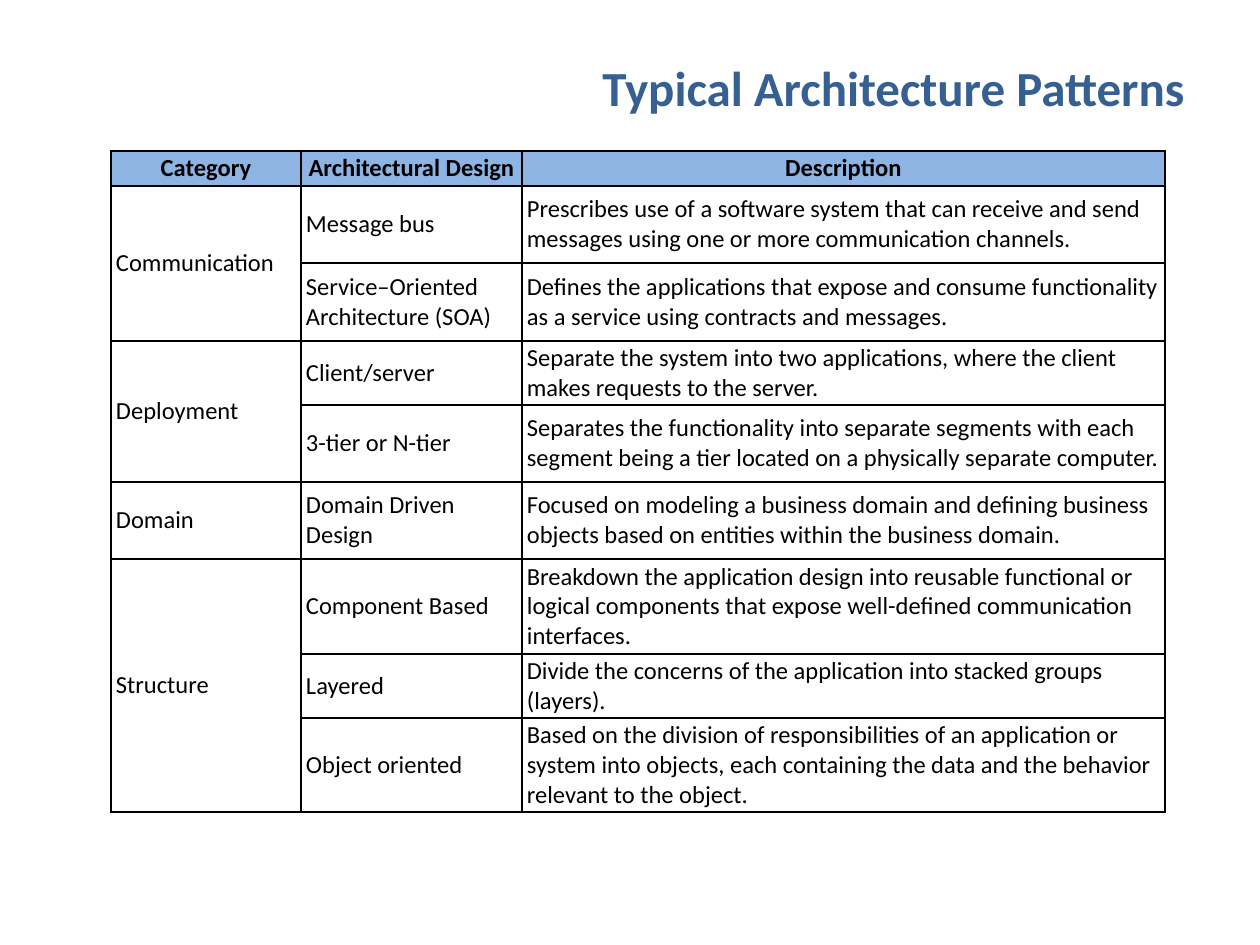
import pptx
import pptx.dml.color
import pptx.enum.text
import pptx.oxml.ns
import pptx.util
from lxml import etree

PIXEL = 914400 // 126
ALIGN = pptx.enum.text.PP_ALIGN
MIDDLE = pptx.enum.text.MSO_ANCHOR.MIDDLE
HEADERS = ["Category", "Architectural Design", "Description"]
PATTERNS = {
    "Communication": [
        ("Message bus", "Prescribes use of a software system that can receive and send "
         "messages using one or more communication channels."),
        ("Service–Oriented Architecture (SOA)", "Defines the applications that expose and "
         "consume functionality as a service using contracts and messages."),
    ],
    "Deployment": [
        ("Client/server", "Separate the system into two applications, where the client "
         "makes requests to the server."),
        ("3-tier or N-tier", "Separates the functionality into separate segments with each "
         "segment being a tier located on a physically separate computer."),
    ],
    "Domain": [
        ("Domain Driven Design", "Focused on modeling a business domain and defining business "
         "objects based on entities within the business domain."),
    ],
    "Structure": [
        ("Component Based", "Breakdown the application design into reusable functional or "
         "logical components that expose well-defined communication interfaces."),
        ("Layered", "Divide the concerns of the application into stacked groups (layers)."),
        ("Object oriented", "Based on the division of responsibilities of an application or "
         "system into objects, each containing the data and the behavior relevant to the object."),
    ],
}
COLUMN_WIDTHS = [190, 221, 643]
ROW_HEIGHTS = [35, 77, 78, 64, 77, 77, 95, 64, 94]


def px(length):
    """Turn picture pixels into EMU."""
    return pptx.util.Emu(length * PIXEL)


def color(value):
    """Turn a hex string into a colour."""
    return pptx.dml.color.RGBColor.from_string(value)


def write(frame, text, size=14, bold=False, ink="000000", align=ALIGN.LEFT):
    """Write one formatted paragraph into a text frame."""
    paragraph = frame.paragraphs[0]
    paragraph.alignment = align
    run = paragraph.add_run()
    run.text = text
    run.font.name = "Calibri"
    run.font.size = pptx.util.Pt(size)
    run.font.bold = bold
    run.font.color.rgb = color(ink)


def style_cell(cell, fill=None):
    """Set the margins, borders and fill of a table cell."""
    cell.vertical_anchor = MIDDLE
    cell.margin_left = cell.margin_right = px(5)
    cell.margin_top = cell.margin_bottom = px(2)
    qualified = pptx.oxml.ns.qn
    properties = cell._tc.get_or_add_tcPr()
    for side in ("a:lnL", "a:lnR", "a:lnT", "a:lnB"):
        line = etree.SubElement(properties, qualified(side), w=str(pptx.util.Pt(1)))
        solid = etree.SubElement(line, qualified("a:solidFill"))
        etree.SubElement(solid, qualified("a:srgbClr"), val="000000")
    if fill:
        cell.fill.solid()
        cell.fill.fore_color.rgb = color(fill)
    else:
        cell.fill.background()


def add_title(slide, left, top, width, height):
    """Place and format the slide title."""
    title = slide.shapes.title
    title.left, title.top, title.width, title.height = map(px, (left, top, width, height))
    title.text_frame.vertical_anchor = MIDDLE
    write(title.text_frame, "Typical Architecture Patterns", size=28, bold=True,
          ink="376092", align=ALIGN.RIGHT)


def add_pattern_table(slide, left, top):
    """Place the table of patterns, merging each category over its rows."""
    frame = slide.shapes.add_table(len(ROW_HEIGHTS), len(COLUMN_WIDTHS), px(left), px(top),
                                   px(sum(COLUMN_WIDTHS)), px(sum(ROW_HEIGHTS)))
    table = frame.table
    table.horz_banding = False
    for column, width in zip(table.columns, COLUMN_WIDTHS):
        column.width = px(width)
    for index, height in enumerate(ROW_HEIGHTS):
        table.rows[index].height = px(height)
        for cell in table.rows[index].cells:
            style_cell(cell, fill="8EB4E3" if index == 0 else None)
    for index, header in enumerate(HEADERS):
        write(table.cell(0, index).text_frame, header, bold=True, align=ALIGN.CENTER)
    row = 1
    for category, designs in PATTERNS.items():
        first = table.cell(row, 0)
        write(first.text_frame, category)
        if len(designs) > 1:
            first.merge(table.cell(row + len(designs) - 1, 0))
        for design, description in designs:
            write(table.cell(row, 1).text_frame, design)
            write(table.cell(row, 2).text_frame, description)
            row += 1


def main():
    """Build and save the slide."""
    presentation = pptx.Presentation()
    presentation.slide_width, presentation.slide_height = px(1260), px(945)
    slide = presentation.slides.add_slide(presentation.slide_layouts[5])
    add_title(slide, 203, 48, 994, 77)
    add_pattern_table(slide, 111, 151)
    presentation.save("out.pptx")


main()
